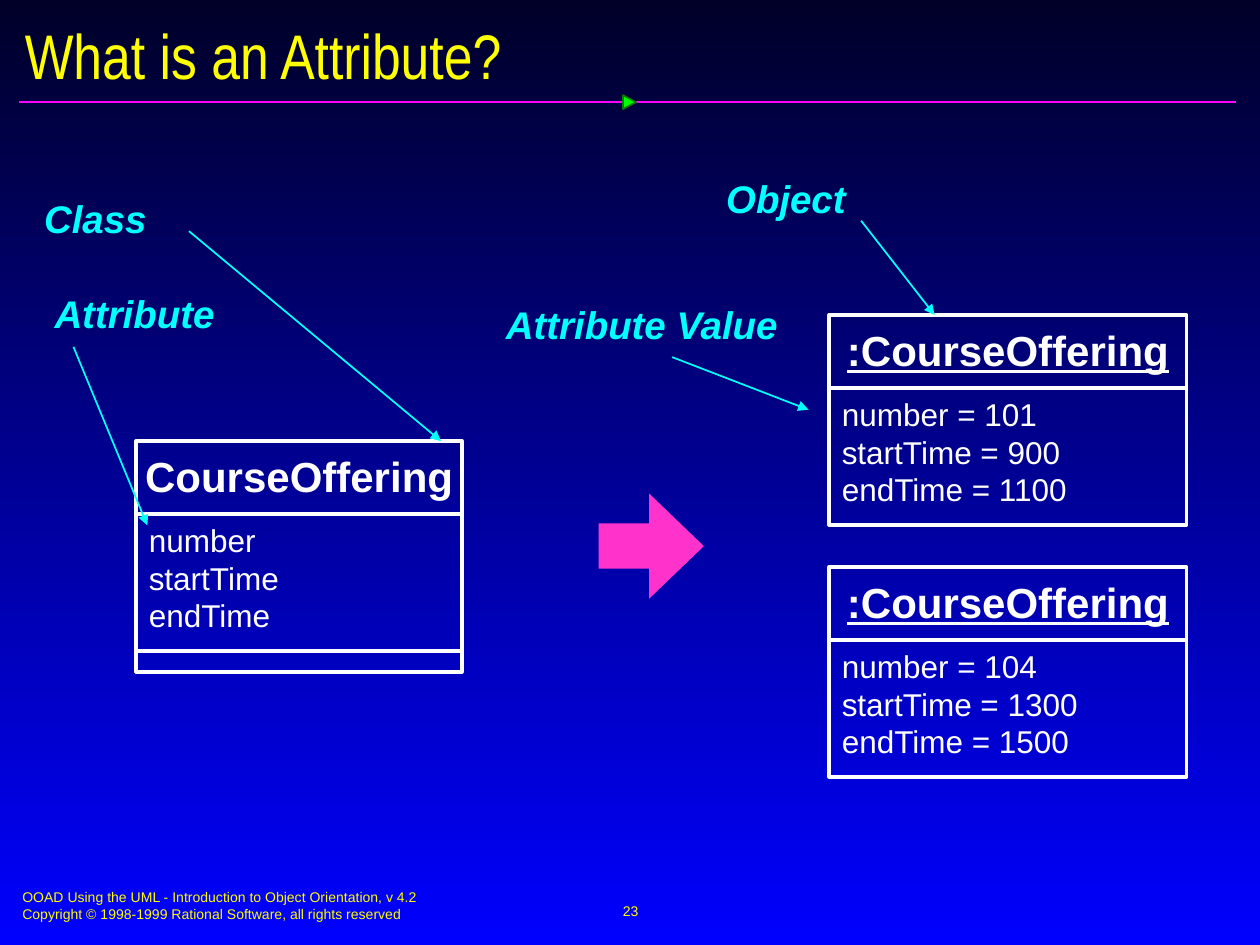
from dataclasses import dataclass

from lxml import etree
from pptx import Presentation
from pptx import util as u
from pptx.dml.color import RGBColor
from pptx.enum import shapes, text
from pptx.oxml import ns


@dataclass(frozen=True)
class Theme:
    top: str = "000028"
    bottom: str = "0000FF"
    yellow: str = "FFFF00"
    white: str = "FFFFFF"
    cyan: str = "00FFFF"
    pink: str = "FF33CC"
    rule: str = "FF01FF"
    marker: str = "00FF00"
    marker_edge: str = "037C03"
    font: str = "Arial"
    title_font: str = "Arial Narrow"
    title_size: int = 36
    name_size: int = 24
    label_size: int = 22
    body_size: int = 18
    footer_size: int = 8
    thin: float = 1
    thick: float = 2.25


THEME = Theme()
PADDING = (0.25, 0.13)


def color(value):
    return RGBColor.from_string(value)


def add_text(page, box, lines, size, ink, font=THEME.font, bold=None, italic=None,
             underline=None, centred=False, middle=False, padding=PADDING, wrap=True):
    shape = page.shapes.add_textbox(*map(u.Cm, box))
    frame = shape.text_frame
    frame.word_wrap = wrap
    frame.margin_left = frame.margin_right = u.Cm(padding[0])
    frame.margin_top = frame.margin_bottom = u.Cm(padding[1])
    frame.vertical_anchor = text.MSO_ANCHOR.MIDDLE if middle else text.MSO_ANCHOR.TOP
    frame.text = "\n".join(lines)
    for para in frame.paragraphs:
        para.alignment = text.PP_ALIGN.CENTER if centred else text.PP_ALIGN.LEFT
        for span in para.runs:
            span.font.name = font
            span.font.size = u.Pt(size)
            span.font.color.rgb = color(ink)
            span.font.bold = bold
            span.font.italic = italic
            span.font.underline = underline


def add_line(page, start, end, ink, width, arrow=False):
    line = page.shapes.add_connector(
        shapes.MSO_CONNECTOR.STRAIGHT, *map(u.Cm, (*start, *end)))
    line.line.color.rgb = color(ink)
    line.line.width = u.Pt(width)
    if arrow:
        tail = etree.SubElement(line.line._get_or_add_ln(), ns.qn("a:tailEnd"))
        tail.set("type", "triangle")
    etree.SubElement(line._element.spPr, ns.qn("a:effectLst"))


def add_outline(page, kind, box, fill=None, edge=None, width=THEME.thick):
    shape = page.shapes.add_shape(kind, *map(u.Cm, box))
    shape.shadow.inherit = False
    if fill:
        shape.fill.solid()
        shape.fill.fore_color.rgb = color(fill)
    else:
        shape.fill.background()
    if edge:
        shape.line.color.rgb = color(edge)
        shape.line.width = u.Pt(width)
    else:
        shape.line.fill.background()
    return shape


def paint_background(page):
    fill = page.background.fill
    fill.gradient()
    fill.gradient_angle = 270
    for stop, value in zip(fill.gradient_stops, (THEME.top, THEME.bottom)):
        stop.color.rgb = color(value)


def add_header(page, box, title):
    left, top, width, height = box
    rule_y = top + height + 0.23
    add_line(page, (left + 0.13, rule_y), (left + 24.67, rule_y), THEME.rule, THEME.thin)
    marker = add_outline(page, shapes.MSO_SHAPE.ISOSCELES_TRIANGLE,
                         (left + 12.3, rule_y - 0.13, 0.28, 0.26),
                         THEME.marker, THEME.marker_edge, THEME.thin)
    marker.rotation = 90
    add_text(page, box, [title], THEME.title_size, THEME.yellow,
             font=THEME.title_font, middle=True)


def add_footer(page, box, lines, number):
    left, top, width, height = box
    add_text(page, (left, top, 12.95, 0.94), lines, THEME.footer_size, THEME.yellow)
    add_text(page, (left + 8.49, top - 0.05, 8.05, height), [number], THEME.footer_size,
             THEME.yellow, centred=True, middle=True, wrap=False)


def add_uml_box(page, box, name, attributes, is_object):
    left, top, width, height = box
    divider = top + 1.48
    rectangle = shapes.MSO_SHAPE.RECTANGLE
    add_outline(page, rectangle, box, edge=THEME.white)
    add_text(page, (left, top + 0.2, width, 1.02), [name], THEME.name_size, THEME.white,
             bold=True, underline=is_object or None, centred=True,
             padding=(0, 0), wrap=False)
    add_line(page, (left, divider), (left + width, divider), THEME.white, THEME.thick)
    add_text(page, (left, divider, width, 2.54), attributes, THEME.body_size, THEME.white)
    if not is_object:
        add_outline(page, rectangle, (left, top + height, width, 0.42), edge=THEME.white)


def add_callout(page, box, label, start, end):
    left, top = box[:2]
    add_text(page, box, [label], THEME.label_size, THEME.cyan, bold=True, italic=True)
    add_line(page, (left + start[0], top + start[1]), (left + end[0], top + end[1]),
             THEME.cyan, THEME.thin, arrow=True)


def add_block_arrow(page, box):
    arrow = add_outline(page, shapes.MSO_SHAPE.RIGHT_ARROW, box, fill=THEME.pink)
    arrow.adjustments[0] = 0.43
    arrow.adjustments[1] = 0.52


def main():
    deck = Presentation()
    deck.slide_width, deck.slide_height = u.Cm(25.4), u.Cm(19.05)
    page = deck.slides.add_slide(deck.slide_layouts[6])

    paint_background(page)
    add_header(page, (0.25, 0.36, 25, 1.47), "What is an Attribute?")
    add_footer(page, (0.2, 17.78, 25, 1.27),
               ["OOAD Using the UML - Introduction to Object Orientation, v 4.2",
                "Copyright © 1998-1999 Rational Software, all rights reserved"], "23")
    add_block_arrow(page, (12.07, 9.95, 2.12, 2.12))

    names = ("number", "startTime", "endTime")
    offerings = ((101, 900, 1100), (104, 1300, 1500))
    for index, values in enumerate(offerings):
        add_uml_box(page, (16.72, 6.35 + 5.08 * index, 7.2, 4.23), ":CourseOffering",
                    [f"{name} = {value}" for name, value in zip(names, values)], True)
    add_uml_box(page, (2.75, 8.89, 6.56, 4.23), "CourseOffering", names, False)

    callouts = (
        ("Class", (0.64, 3.81), (3.17, 0.85), (8.25, 5.08)),
        ("Attribute", (0.85, 5.72), (0.63, 1.27), (2.12, 4.87)),
        ("Object", (14.39, 3.39), (2.97, 1.06), (4.45, 2.96)),
        ("Attribute Value", (9.95, 5.93), (3.6, 1.27), (6.35, 2.33)),
    )
    for label, corner, start, end in callouts:
        add_callout(page, (*corner, 6.56, 1.2), label, start, end)

    deck.save("out.pptx")


if __name__ == "__main__":
    main()
